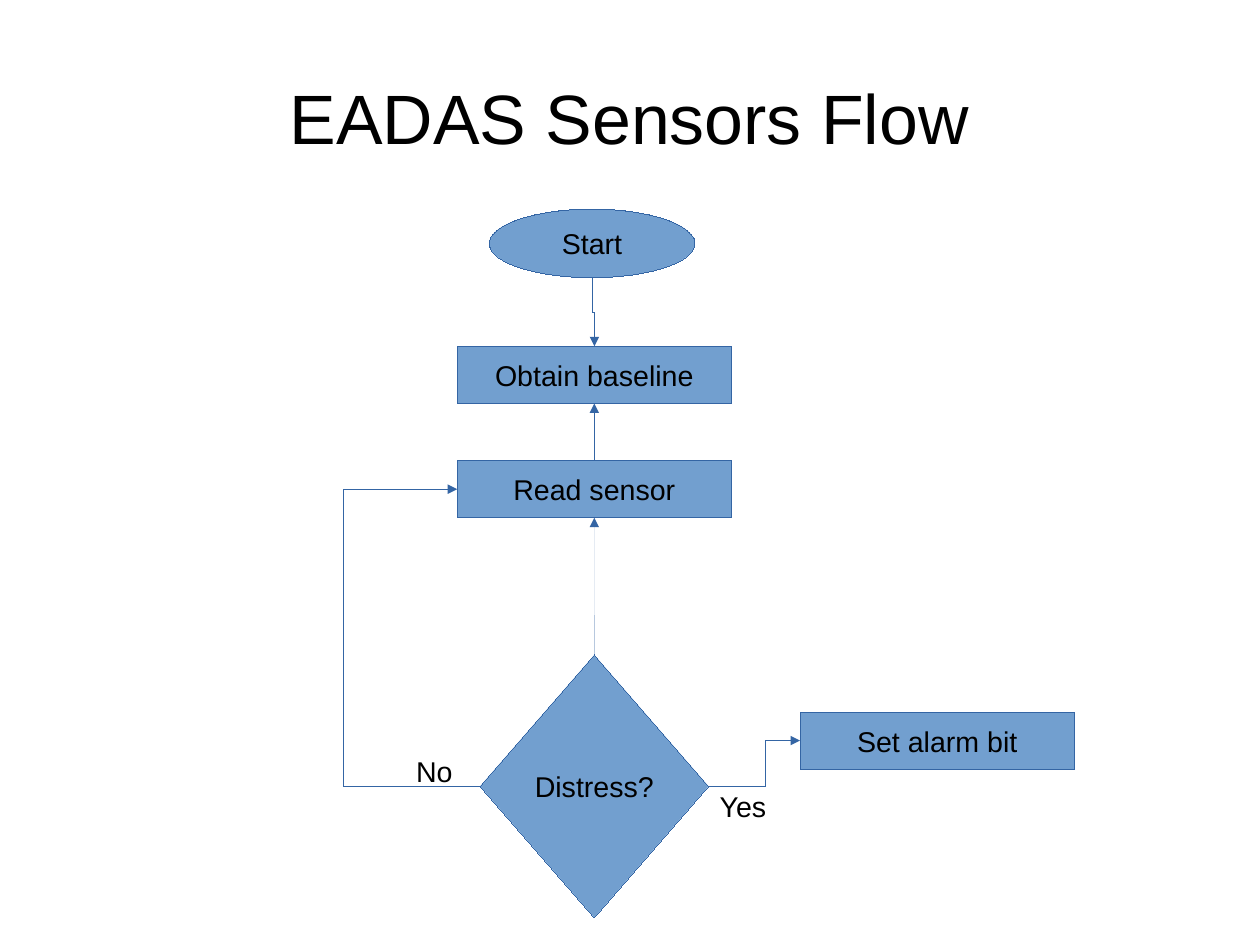
from lxml import etree
from pptx import Presentation
from pptx.dml.color import RGBColor
from pptx.enum.shapes import MSO_CONNECTOR, MSO_SHAPE
from pptx.enum.text import MSO_ANCHOR, PP_ALIGN
from pptx.oxml.ns import qn
from pptx.util import Pt

OVAL, RECT, DIAMOND = MSO_SHAPE.OVAL, MSO_SHAPE.RECTANGLE, MSO_SHAPE.DIAMOND
STRAIGHT, ELBOW = MSO_CONNECTOR.STRAIGHT, MSO_CONNECTOR.ELBOW
MIDDLE, TOP = MSO_ANCHOR.MIDDLE, MSO_ANCHOR.TOP
CENTER = PP_ALIGN.CENTER

BLUE = RGBColor(0x72, 0x9F, 0xCF)
NAVY = RGBColor(0x34, 0x65, 0xA4)
BLACK = RGBColor(0, 0, 0)

NORTH, WEST, SOUTH, EAST = range(4)
SIDES = [(0.5, 0), (0, 0.5), (0.5, 1), (1, 0.5)]


def write(shape, text, size=18, anchor=MIDDLE, wrap=False):
    """Put one centred line of text in a shape."""
    frame = shape.text_frame
    frame.word_wrap = wrap
    frame.vertical_anchor = anchor
    para = frame.paragraphs[0]
    para.text = text
    para.alignment = CENTER
    para.font.name = "Arial"
    para.font.size = Pt(size)
    para.font.color.rgb = BLACK


def label(slide, text, left, top, width, height, size=18, anchor=TOP):
    """Add plain text without an outline."""
    box = slide.shapes.add_textbox(Pt(left), Pt(top), Pt(width), Pt(height))
    frame = box.text_frame
    frame.margin_left = frame.margin_right = Pt(0)
    write(box, text, size, anchor, wrap=True)


def outline(shape):
    """Give a shape or link a hairline."""
    shape.line.color.rgb = NAVY
    shape.element.spPr.find(qn("a:ln")).set("w", "0")


def node(slide, kind, text, left, top, width=172.8, height=36):
    """Add one filled step of the flow."""
    shape = slide.shapes.add_shape(kind, Pt(left), Pt(top), Pt(width), Pt(height))
    shape.shadow.inherit = False
    shape.fill.solid()
    shape.fill.fore_color.rgb = BLUE
    outline(shape)
    write(shape, text)
    return shape


def site(shape, side):
    """Return the middle point of a side of a shape."""
    across, down = SIDES[side]
    return shape.left + across * shape.width, shape.top + down * shape.height


def glue(link, tag, shape, side):
    """Tie one end of a link to a side of a shape."""
    index = side * 2 if shape.auto_shape_type == OVAL else side
    props = link.element.find(".//" + qn("p:cNvCxnSpPr"))
    etree.SubElement(props, qn(tag), id=str(shape.shape_id), idx=str(index))


def join(slide, source, start, target, end, kind=STRAIGHT, turns=0, bend=None):
    """Draw an arrow between two sides, with its frame in quarter turns."""
    (x1, y1), (x2, y2) = site(source, start), site(target, end)
    mid_x, mid_y = (x1 + x2) / 2, (y1 + y2) / 2
    dx, dy = (x2 - x1) / 2, (y2 - y1) / 2
    for _ in range(turns):
        dx, dy = dy, -dx
    ends = (mid_x - dx, mid_y - dy, mid_x + dx, mid_y + dy)
    link = slide.shapes.add_connector(kind, *(round(value) for value in ends))
    outline(link)
    glue(link, "a:stCxn", source, start)
    glue(link, "a:endCxn", target, end)
    props = link.element.spPr
    etree.SubElement(props.find(qn("a:ln")), qn("a:tailEnd"), type="triangle")
    etree.SubElement(props, qn("a:effectLst"))
    if turns:
        props.find(qn("a:xfrm")).set("rot", str(turns * 5400000))
    if bend is not None:
        guides = props.find(".//" + qn("a:avLst"))
        value = f"val {round(bend * 100000)}"
        etree.SubElement(guides, qn("a:gd"), name="adj1", fmla=value)


def main():
    """Build the sensor flow slide."""
    deck = Presentation()
    deck.slide_width, deck.slide_height = Pt(793.7), Pt(595.28)
    slide = deck.slides.add_slide(deck.slide_layouts[6])

    begin = node(slide, OVAL, "Start", 308.16, 131.76, 129.6, 43.2)
    base = node(slide, RECT, "Obtain baseline", 288, 218.16)
    sensor = node(slide, RECT, "Read sensor", 288, 290.16)
    choice = node(slide, DIAMOND, "Distress?", 302.4, 412.56, 144, 165.6)
    alarm = node(slide, RECT, "Set alarm bit", 504, 448.56)

    join(slide, choice, EAST, alarm, WEST, ELBOW, bend=0.62)
    join(slide, choice, WEST, sensor, WEST, ELBOW, turns=2, bend=6)
    label(slide, "No", 252, 471.6, 43.2, 27.36)
    label(slide, "Yes", 446.4, 493.2, 43.2, 47.52)
    label(slide, "EADAS Sensors Flow", 39.6, 23.76, 714.24, 99.36, 44, MIDDLE)

    join(slide, begin, SOUTH, base, NORTH, ELBOW, turns=3)
    join(slide, sensor, NORTH, base, SOUTH)
    join(slide, choice, NORTH, sensor, SOUTH)
    deck.save("out.pptx")


if __name__ == "__main__":
    main()
